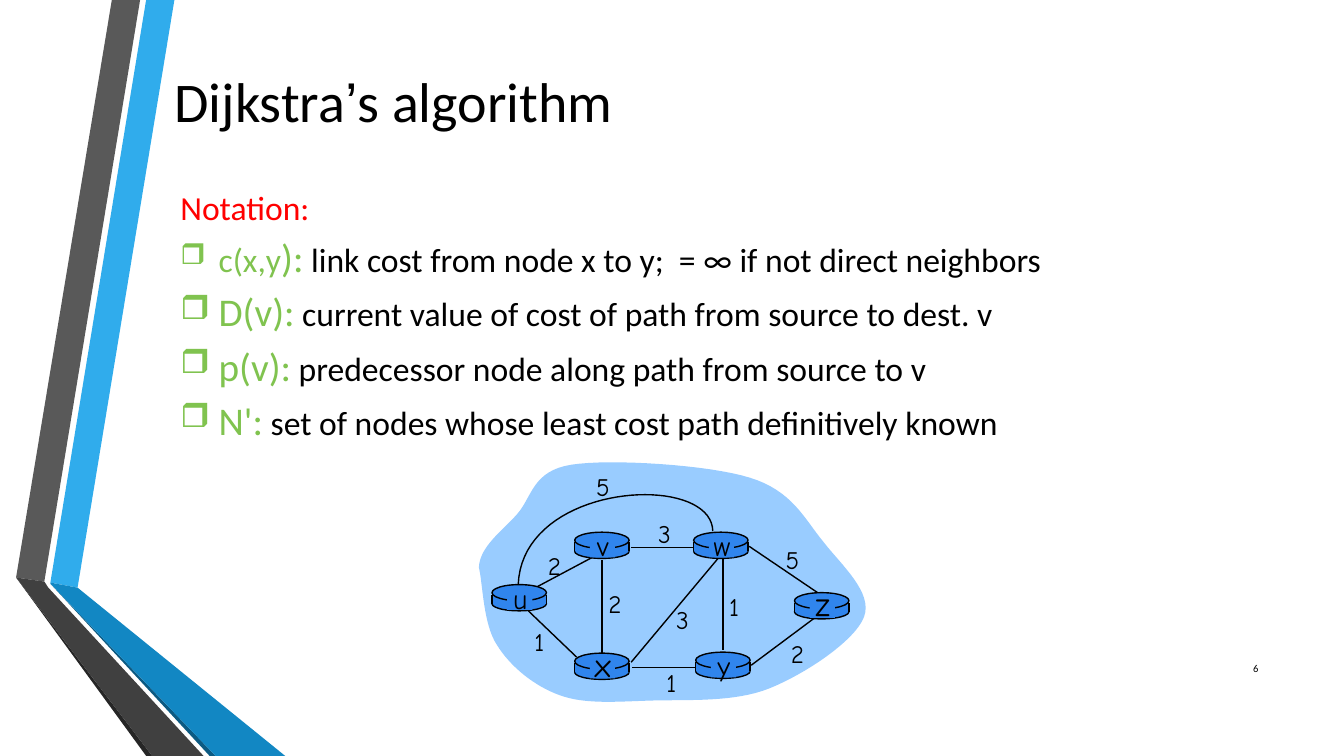
"""Builds the slide on the notation of Dijkstra's algorithm with its router network."""
from dataclasses import dataclass

from lxml.etree import SubElement
from pptx import Presentation
from pptx.dml.color import RGBColor
from pptx.enum.shapes import MSO_CONNECTOR as CONNECTOR, MSO_SHAPE as SHAPE
from pptx.enum.text import MSO_ANCHOR as ANCHOR, PP_ALIGN as ALIGN
from pptx.oxml.ns import qn
from pptx.util import Inches, Pt

Point = tuple[float, float]
BLACK, GREEN, RED = "000000", "80C34F", "FF0000"
ROUTER_BLUE, CLOUD_BLUE = "3085ED", "99CCFF"
ROUTER_WIDTH = 0.54


@dataclass
class Ribbon:
    color: str
    corners: list[Point]


@dataclass
class Span:
    text: str
    size: float
    color: str = BLACK
    font: str = "Calibri"


@dataclass
class Router:
    name: str
    left: float
    top: float
    size: int = 20


@dataclass
class Link:
    start: Point
    end: Point
    cost: str
    cost_center: float
    cost_top: float


RIBBONS = [
    Ribbon("30ACEC", [(0.5, 5.78), (0.77, 5.83), (1.73, 0), (1.45, 0)]),
    Ribbon("595959", [(1.39, 0), (1.11, 0), (0.16, 5.73), (0.44, 5.77)]),
    Ribbon("262626", [(0.16, 5.73), (1.45, 7.5), (1.51, 7.5)]),
    Ribbon("0C5A82", [(0.5, 5.79), (2.08, 7.5), (2.14, 7.5)]),
    Ribbon("1287C3", [(0.5, 5.79), (2.14, 7.5), (2.83, 7.5), (0.77, 5.83), (0.5, 5.78)]),
    Ribbon("404040", [(2.02, 7.5), (0.48, 5.83), (0.44, 5.77), (0.16, 5.73), (1.51, 7.5)]),
]
TITLE = [Span("Dijkstra", 40), Span("’", 40, font="Arial"), Span("s algorithm", 40)]
NOTATION = [
    [Span("Notation:", 24, RED)],
    [Span("c(x,y", 24, GREEN), Span("):", 28, GREEN),
     Span(" link cost from node x to y;  = ∞ if not direct neighbors", 24)],
    [Span("D(v):", 28, GREEN),
     Span(" current value of cost of path from source to dest. v", 24)],
    [Span("p(v):", 28, GREEN), Span(" predecessor node along path from source to v", 24)],
    [Span("N':", 28, GREEN),
     Span(" set of nodes whose least cost path definitively known", 24)],
]
CLOUD = [
    (4.75, 5.63), (4.76, 5.42), (4.98, 5.27), (5.13, 5.1), (5.28, 4.93), (5.28, 4.67),
    (5.67, 4.61), (6.05, 4.55), (7.03, 4.61), (7.44, 4.74), (7.86, 4.87), (7.98, 5.15),
    (8.17, 5.38), (8.35, 5.61), (8.66, 5.88), (8.57, 6.12), (8.48, 6.36), (7.98, 6.69),
    (7.63, 6.83), (7.28, 6.97), (6.82, 6.94), (6.47, 6.95), (6.13, 6.96), (5.81, 6.99),
    (5.56, 6.9), (5.3, 6.81), (5.06, 6.61), (4.93, 6.4), (4.79, 6.19), (4.79, 5.79),
    (4.75, 5.63),
]
U_TO_W = [(7.07, 5.27), (7.06, 4.68), (5.18, 4.78), (5.14, 5.8)]
ROUTERS = [
    Router("u", 4.88, 5.8), Router("x", 5.7, 6.48, 24), Router("v", 5.7, 5.28),
    Router("w", 6.88, 5.28), Router("y", 6.9, 6.47), Router("z", 7.88, 5.88, 24),
]
LINKS = [
    Link((5.33, 5.82), (5.93, 5.5), "2", 5.5, 5.41),
    Link((5.97, 5.56), (5.97, 6.49), "2", 6.1, 5.79),
    Link((5.72, 6.52), (5.24, 6.06), "1", 5.35, 6.16),
    Link((6.26, 6.57), (7.13, 5.53), "3", 6.77, 5.95),
    Link((6.9, 6.62), (6.27, 6.62), "1", 6.66, 6.57),
    Link((7.17, 5.55), (7.17, 6.45), "1", 7.28, 5.82),
    Link((7.45, 6.6), (8.08, 6.13), "2", 7.91, 6.28),
    Link((8.11, 5.88), (7.43, 5.42), "5", 7.86, 5.35),
    Link((6.89, 5.43), (6.26, 5.43), "3", 6.59, 5.09),
]


def rgb(color: str) -> RGBColor:
    """Turn a hex string into a colour."""
    return RGBColor.from_string(color)


def add_spans(paragraph, spans: list[Span]) -> None:
    """Write formatted runs into a paragraph."""
    for span in spans:
        run = paragraph.add_run()
        run.text = span.text
        run.font.name, run.font.size = span.font, Pt(span.size)
        run.font.color.rgb = rgb(span.color)


def add_bullet(paragraph) -> None:
    """Give a paragraph a green box bullet."""
    properties = paragraph._p.get_or_add_pPr()
    SubElement(SubElement(properties, qn("a:buClr")), qn("a:srgbClr"), val=GREEN)
    SubElement(properties, qn("a:buSzPct"), val="85000")
    SubElement(properties, qn("a:buChar"), char="❒")


def bezier(points: list[Point], steps: int = 16) -> list[Point]:
    """Sample a chain of cubic curves."""
    sampled = [points[0]]
    for first in range(0, len(points) - 1, 3):
        for step in range(1, steps + 1):
            t = step / steps
            weights = ((1 - t) ** 3, 3 * t * (1 - t) ** 2, 3 * t * t * (1 - t), t ** 3)
            curve = points[first:first + 4]
            sampled.append((sum(w * p[0] for w, p in zip(weights, curve)),
                            sum(w * p[1] for w, p in zip(weights, curve))))
    return sampled


def style(shape, fill: str | None, outlined: bool) -> None:
    """Set fill and outline and drop the shadow."""
    shape.shadow.inherit = False
    if fill:
        shape.fill.solid()
        shape.fill.fore_color.rgb = rgb(fill)
    else:
        shape.fill.background()
    if outlined:
        shape.line.color.rgb, shape.line.width = rgb(BLACK), Pt(1)
    else:
        shape.line.fill.background()


def add_outline(shapes, points: list[Point], fill: str | None = None) -> None:
    """Draw a filled closed outline, or an open line without fill."""
    corners = [(Inches(x), Inches(y)) for x, y in points]
    builder = shapes.build_freeform(*corners[0])
    builder.add_line_segments(corners[1:], close=fill is not None)
    style(builder.convert_to_shape(), fill, outlined=fill is None)


def add_part(shapes, kind: SHAPE, left: float, top: float, width: float, height: float,
             outlined: bool = False) -> None:
    """Draw one blue part of a router."""
    part = shapes.add_shape(kind, Inches(left), Inches(top), Inches(width), Inches(height))
    style(part, ROUTER_BLUE, outlined)


def add_line(shapes, start: Point, end: Point) -> None:
    """Draw a thin black line."""
    line = shapes.add_connector(CONNECTOR.STRAIGHT, *map(Inches, start + end))
    line.line.color.rgb, line.line.width = rgb(BLACK), Pt(1)
    SubElement(line._element.spPr, qn("a:effectLst"))


def add_label(shapes, text: str, center: float, top: float, size: int = 18) -> None:
    """Write a centred label of the network."""
    label = shapes.add_textbox(Inches(center - 0.18), Inches(top), Inches(0.36),
                               Inches(size / 60 + 0.1)).text_frame
    label.word_wrap = False
    label.paragraphs[0].alignment = ALIGN.CENTER
    add_spans(label.paragraphs[0], [Span(text, size, font="Comic Neue")])


def add_router(shapes, router: Router) -> None:
    """Draw a router as a flat cylinder with its name."""
    left, top, right = router.left, router.top, router.left + ROUTER_WIDTH
    add_part(shapes, SHAPE.OVAL, left, top + 0.12, ROUTER_WIDTH, 0.14, outlined=True)
    add_part(shapes, SHAPE.RECTANGLE, left, top + 0.1, ROUTER_WIDTH, 0.09)
    for side in (left, right):
        add_line(shapes, (side, top + 0.1), (side, top + 0.19))
    add_part(shapes, SHAPE.OVAL, left, top, ROUTER_WIDTH, 0.16, outlined=True)
    add_part(shapes, SHAPE.RECTANGLE, left + 0.15, top + 0.02, 0.25, 0.23)
    add_label(shapes, router.name, left + 0.28, top + 0.215 - router.size * 0.015, router.size)


def main() -> None:
    """Build and save the slide."""
    deck = Presentation()
    deck.slide_width, deck.slide_height = Inches(13.33), Inches(7.5)
    slide = deck.slides.add_slide(deck.slide_layouts[5])
    shapes = slide.shapes
    for ribbon in RIBBONS:
        add_outline(shapes, ribbon.corners, ribbon.color)

    title = shapes.title
    title.left, title.top, title.width, title.height = map(Inches, (1.63, 0.31, 10.96, 1.37))
    title.text_frame.vertical_anchor = ANCHOR.MIDDLE
    title.text_frame.paragraphs[0].alignment = ALIGN.LEFT
    add_spans(title.text_frame.paragraphs[0], TITLE)

    notation = shapes.add_textbox(*map(Inches, (1.69, 1.8, 10.58, 5.08))).text_frame
    notation.word_wrap = True
    for index, spans in enumerate(NOTATION):
        entry = notation.add_paragraph() if index else notation.paragraphs[0]
        properties = entry._p.get_or_add_pPr()
        properties.set("marL", str(Inches(0.38)))
        properties.set("indent", str(-Inches(0.38)))
        if index:
            entry.space_before = Pt(5)
            add_bullet(entry)
        add_spans(entry, spans)

    add_outline(shapes, bezier(CLOUD), CLOUD_BLUE)
    add_outline(shapes, bezier(U_TO_W, 40))
    for link in LINKS:
        add_line(shapes, link.start, link.end)
    for router in ROUTERS:
        add_router(shapes, router)
    for link in LINKS:
        add_label(shapes, link.cost, link.cost_center, link.cost_top)
    add_label(shapes, "5", 5.98, 4.63)

    number = shapes.add_textbox(*map(Inches, (11.98, 6.43, 0.6, 0.4))).text_frame
    number.word_wrap, number.vertical_anchor = True, ANCHOR.MIDDLE
    number.paragraphs[0].alignment = ALIGN.RIGHT
    add_spans(number.paragraphs[0], [Span("6", 7.5)])
    deck.save("out.pptx")


if __name__ == "__main__":
    main()
